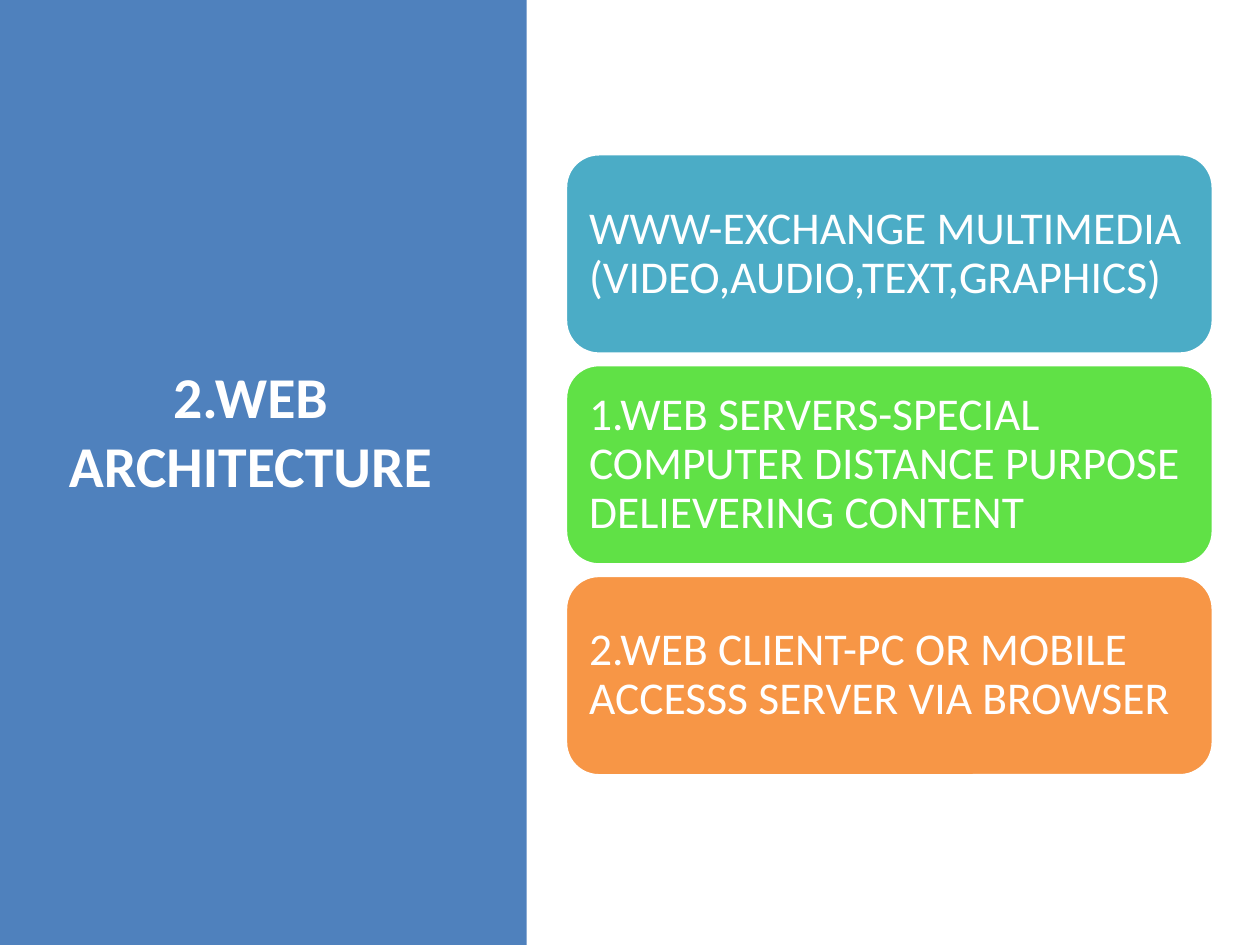
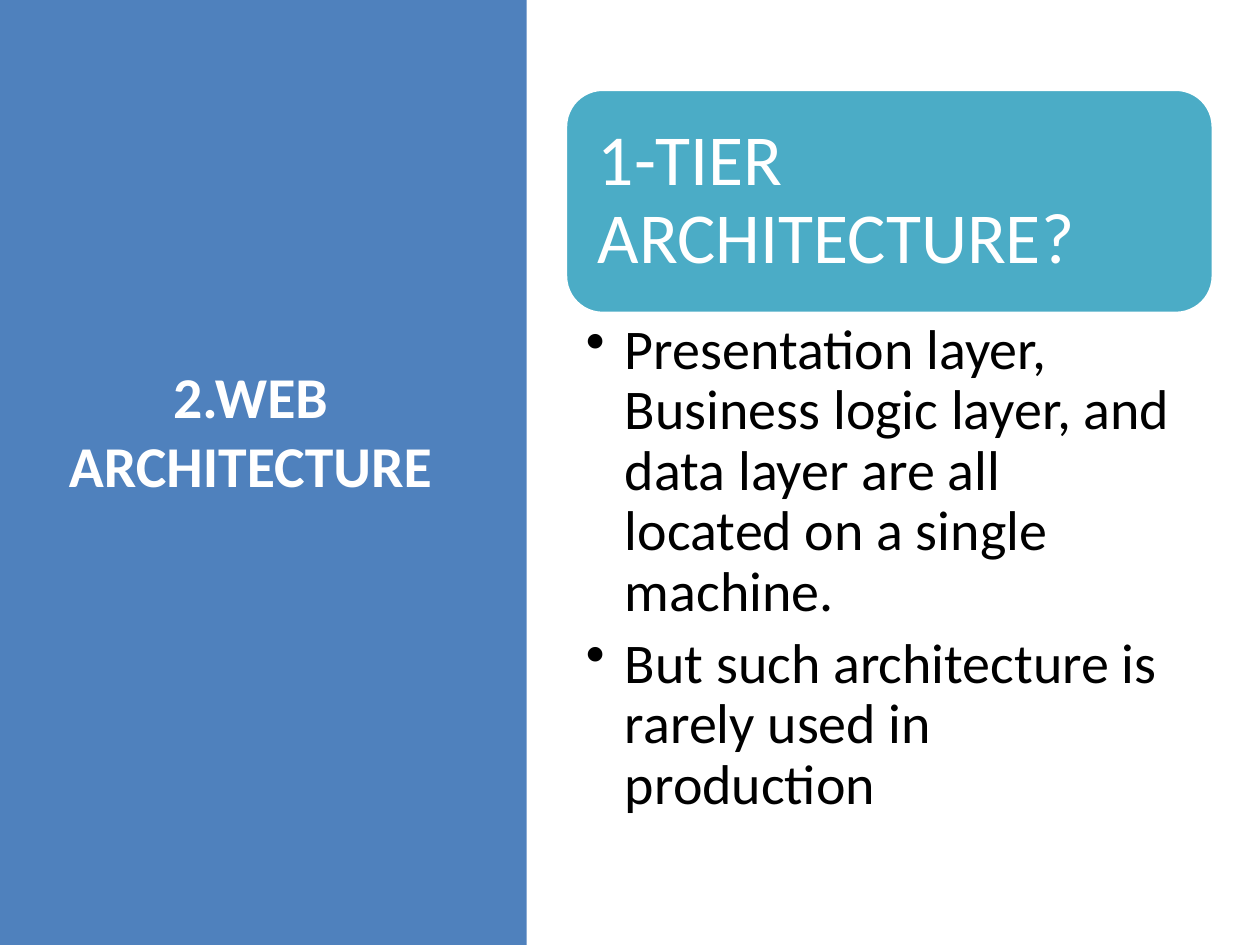
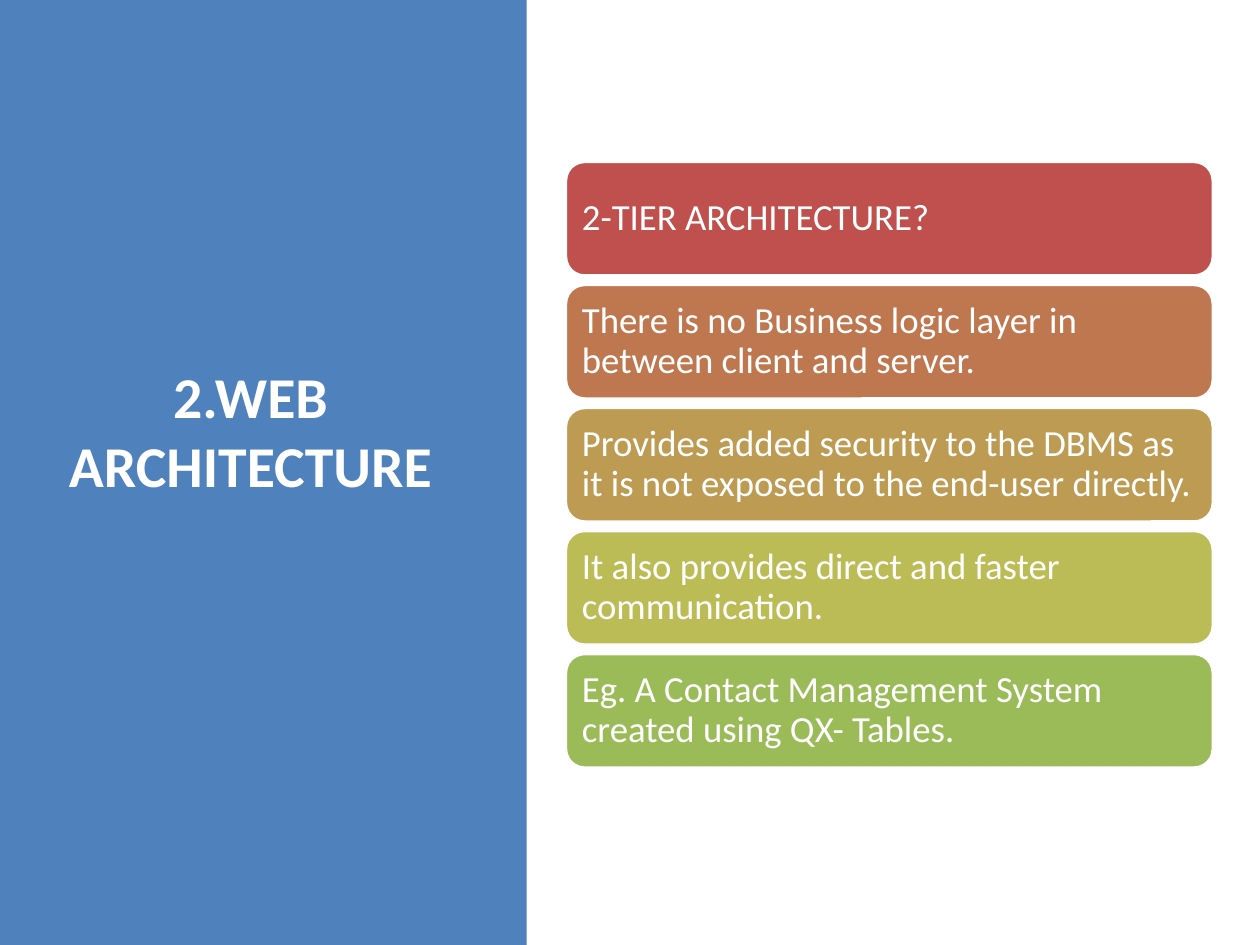
from lxml import etree
from pptx import Presentation
from pptx import util as u
from pptx.dml.color import RGBColor
from pptx.enum import shapes, text
from pptx.oxml.ns import qn

# Shared style
FONT = "Calibri"
WHITE, BLACK, BLUE = "FFFFFF", "000000", "4F81BD"
TEAL, GREEN, ORANGE = "4BACC6", "60E146", "F79646"
TITLE = "2.WEB ARCHITECTURE"

# Shared places, in centimetres
PANEL_WIDTH, PAGE_HEIGHT = 10.62, 19.05
COLUMN_LEFT, COLUMN_WIDTH = 11.4, 13.06
MIDDLE = 9.37


def colour(value):
    return RGBColor.from_string(value)


class Slides:
    """Holds the deck, its style and the current page."""

    def __init__(self):
        self.deck = Presentation()
        self.deck.slide_width = u.Cm(25.4)
        self.deck.slide_height = u.Cm(PAGE_HEIGHT)
        self.page = None

    def new_page(self):
        self.page = self.deck.slides.add_slide(self.deck.slide_layouts[5])
        panel = self.shape(shapes.MSO_SHAPE.RECTANGLE, 0, 0,
                           PANEL_WIDTH, PAGE_HEIGHT, BLUE)
        self.page.shapes.title.element.addprevious(panel.element)
        self.title()

    def title(self):
        box = self.page.shapes.title
        box.left, box.top = u.Cm(1.09), u.Cm(1.73)
        box.width, box.height = u.Cm(7.92), u.Cm(15.29)
        frame = box.text_frame
        frame.text = TITLE
        frame.word_wrap = True
        frame.auto_size = text.MSO_AUTO_SIZE.NONE
        frame.vertical_anchor = text.MSO_ANCHOR.MIDDLE
        frame.margin_bottom = u.Cm(1.55)
        paragraph = frame.paragraphs[0]
        paragraph.alignment = text.PP_ALIGN.CENTER
        self.style(paragraph, 33, WHITE, bold=True)

    def style(self, paragraph, size, ink, bold=False):
        for span in paragraph.runs:
            span.font.name = FONT
            span.font.size = u.Pt(size)
            span.font.bold = bold
            span.font.color.rgb = colour(ink)

    def margins(self, frame, left, top, right, bottom):
        frame.word_wrap = True
        frame.margin_left, frame.margin_top = u.Cm(left), u.Cm(top)
        frame.margin_right, frame.margin_bottom = u.Cm(right), u.Cm(bottom)

    def shape(self, kind, left, top, width, height, fill):
        box = self.page.shapes.add_shape(
            kind, u.Cm(left), u.Cm(top), u.Cm(width), u.Cm(height))
        box.shadow.inherit = False
        box.fill.solid()
        box.fill.fore_color.rgb = colour(fill)
        box.line.fill.background()
        return box

    def card(self, words, fill, top, height, size, margin):
        box = self.shape(shapes.MSO_SHAPE.ROUNDED_RECTANGLE, COLUMN_LEFT, top,
                         COLUMN_WIDTH, height, fill)
        box.line.color.rgb = colour(WHITE)
        box.line.width = u.Pt(2)
        frame = box.text_frame
        frame.text = words
        self.margins(frame, margin, margin, margin, margin)
        frame.vertical_anchor = text.MSO_ANCHOR.MIDDLE
        paragraph = frame.paragraphs[0]
        paragraph.alignment = text.PP_ALIGN.LEFT
        paragraph.line_spacing = 0.9
        self.style(paragraph, size, WHITE)

    def stack(self, cards, height, gap, size, margin):
        """Equal cards, centred on the middle of the column."""
        total = len(cards) * height + (len(cards) - 1) * gap
        for row, (words, fill) in enumerate(cards):
            top = MIDDLE - total / 2 + row * (height + gap)
            self.card(words, fill, top, height, size, margin)

    def bullets(self, items, top, height, size):
        box = self.page.shapes.add_textbox(
            u.Cm(COLUMN_LEFT), u.Cm(top), u.Cm(COLUMN_WIDTH), u.Cm(height))
        frame = box.text_frame
        frame.text = "\n".join(items)
        self.margins(frame, 0.41, 0.15, 0.81, 0.15)
        for paragraph in frame.paragraphs:
            properties = paragraph._p.get_or_add_pPr()
            properties.set("marL", str(u.Cm(0.79)))
            properties.set("indent", str(-u.Cm(0.79)))
            etree.SubElement(properties, qn("a:buChar"), char="•")
            paragraph.line_spacing = 0.9
            paragraph.space_after = u.Pt(6.4)
            self.style(paragraph, size, BLACK)


def main():
    slides = Slides()

    # Web servers and clients
    slides.new_page()
    slides.stack([
        ("WWW-EXCHANGE MULTIMEDIA (VIDEO,AUDIO,TEXT,GRAPHICS)", TEAL),
        ("1.WEB SERVERS-SPECIAL COMPUTER DISTANCE PURPOSE DELIEVERING CONTENT",
         GREEN),
        ("2.WEB CLIENT-PC OR MOBILE ACCESSS SERVER VIA BROWSER", ORANGE),
    ], height=4.04, gap=0.21, size=26, margin=0.28)

    # One tier: a heading card with its list below
    slides.new_page()
    card_top, card_height = 1.8, 4.52
    slides.card("1-TIER ARCHITECTURE?", TEAL, card_top, card_height,
                size=41, margin=0.43)
    slides.bullets([
        "Presentation layer, Business logic layer, and data layer are all "
        "located on a single machine.",
        "But such architecture is rarely used in production",
    ], top=card_top + card_height, height=10.62, size=32)

    # Two tiers
    slides.new_page()
    slides.stack([
        ("2-TIER ARCHITECTURE?", "C0504D"),
        ("There is no Business logic layer in between client and server.",
         "BF7750"),
        ("Provides added security to the DBMS as it is not exposed to the "
         "end-user directly.", "BD9B53"),
        ("It also provides direct and faster communication.", "BCBC56"),
        ("Eg. A Contact Management System created using QX- Tables.",
         "9BBB59"),
    ], height=2.31, gap=0.17, size=21, margin=0.22)

    slides.deck.save("out.pptx")


if __name__ == "__main__":
    main()
